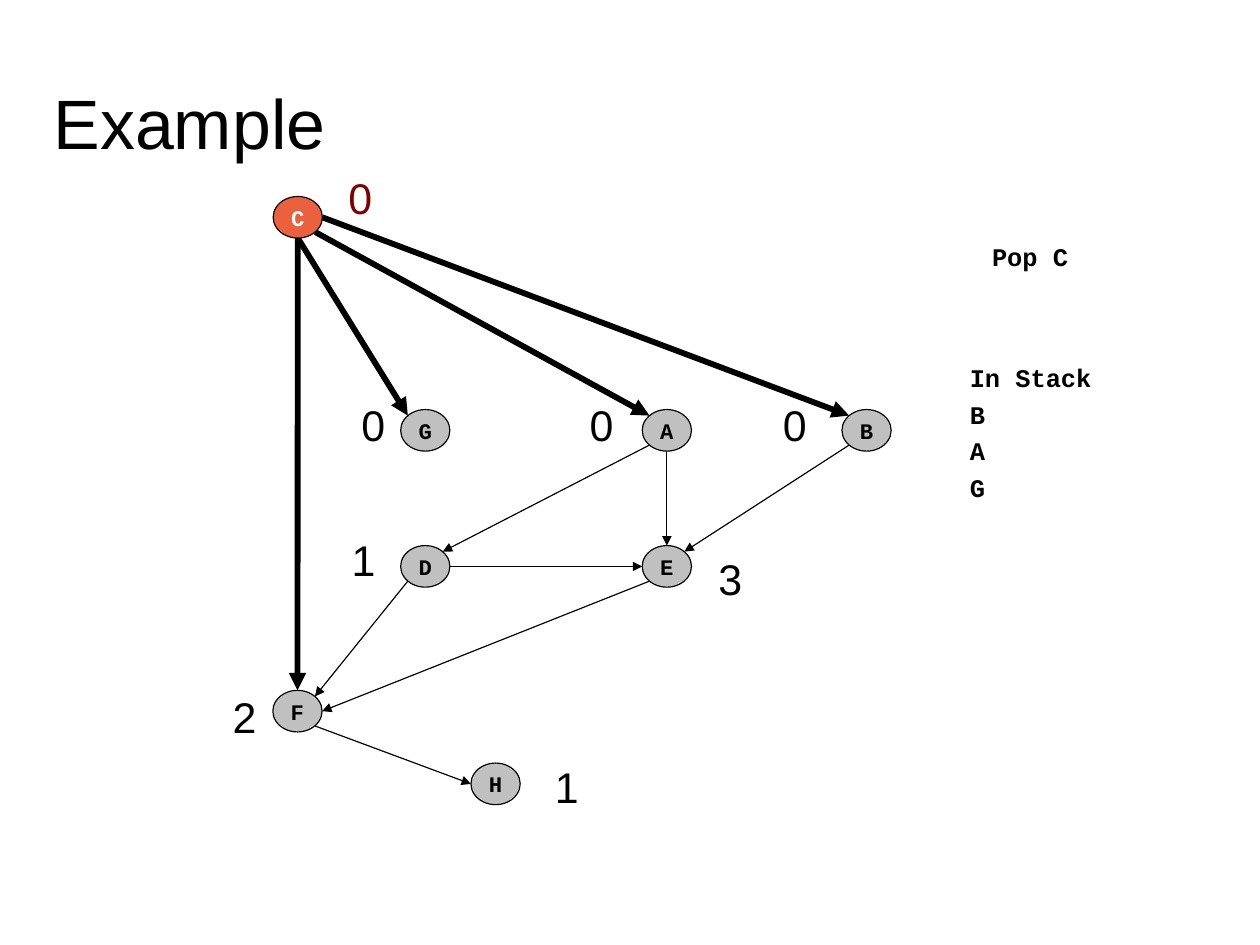
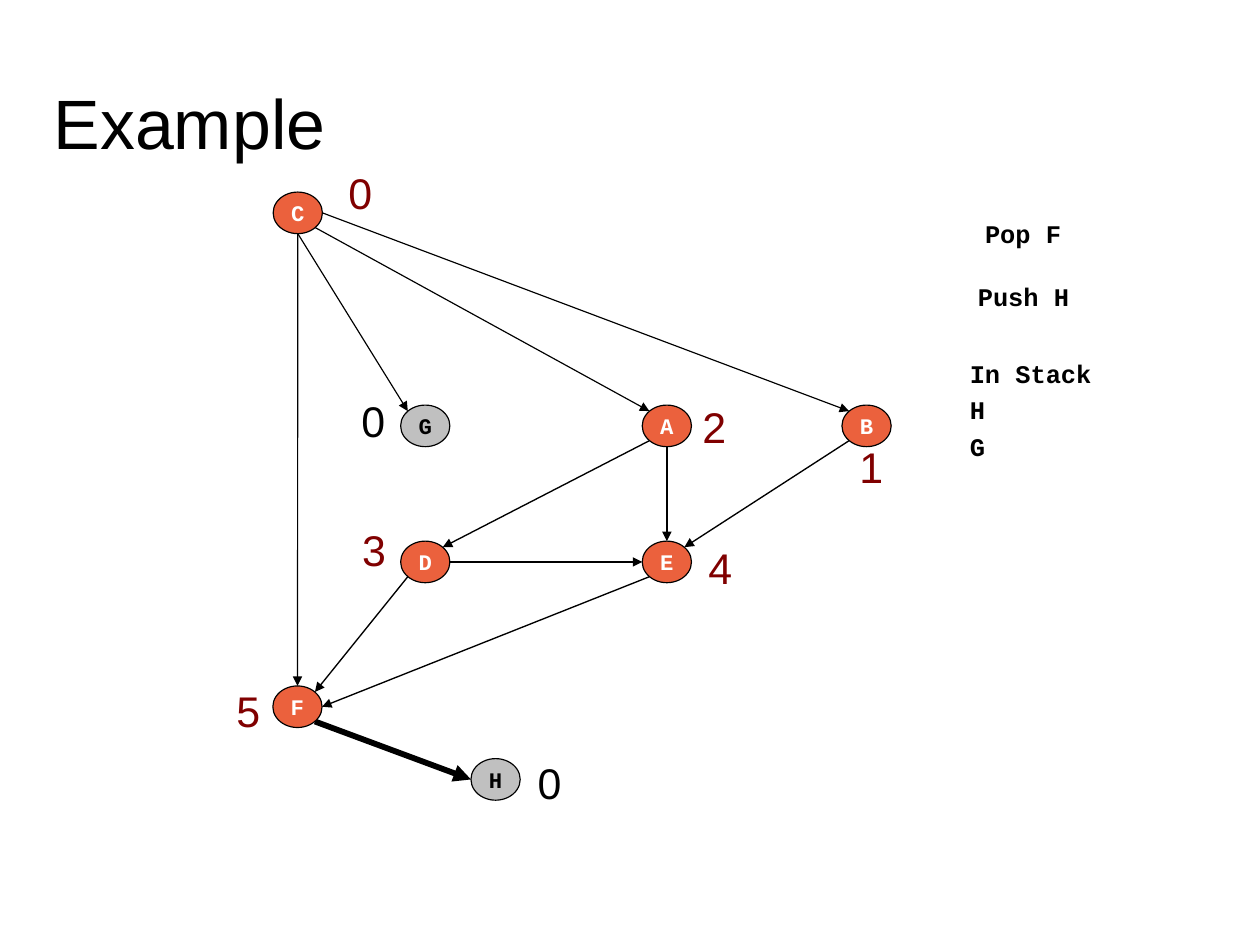
from lxml import etree
from pptx import Presentation
from pptx import util as u
from pptx.dml.color import RGBColor
from pptx.enum import shapes, text
from pptx.oxml.ns import qn

Pt = u.Pt
COLORS = {"ink": "000000", "white": "FFFFFF", "visited": "EB613D",
          "waiting": "C0C0C0", "count": "800000"}
SANS, MONO = "Arial", "Courier New"

# Graph shared by both slides: node corners, edges with their compass points
NODE_W, NODE_H = 31, 26.2
NODES = {"C": (172.1, 123.8), "G": (252.4, 258), "A": (404.6, 258),
         "B": (530.4, 258), "D": (252.4, 343.7), "E": (404.6, 343.7),
         "F": (171.9, 434.9), "H": (296.7, 480.7)}
EDGES = [("C", "s", "F", "n"), ("C", "s", "G", "nw"), ("C", "se", "A", "nw"),
         ("C", "e", "B", "nw"), ("A", "sw", "D", "ne"), ("A", "s", "E", "n"),
         ("B", "sw", "E", "ne"), ("D", "e", "E", "w"), ("D", "sw", "F", "ne"),
         ("E", "sw", "F", "e"), ("F", "se", "H", "w")]
DIAG = 0.71
SITES = {"n": (0, -1), "s": (0, 1), "e": (1, 0), "w": (-1, 0),
         "nw": (-DIAG, -DIAG), "ne": (DIAG, -DIAG),
         "sw": (-DIAG, DIAG), "se": (DIAG, DIAG)}

# Steps of the search: labels are (value, left, top), notes are (lines, left, top)
STEPS = [
    {"shift": 0, "popped": "C", "visited": "C",
     "labels": {"C": ("0", 212.4, 104.4), "G": ("0", 220.5, 247.4),
                "A": ("0", 364.3, 247.4), "B": ("0", 486, 247.4),
                "E": ("3", 445.4, 344.6), "D": ("1", 214.4, 332.6),
                "H": ("1", 342.5, 475.9), "F": ("2", 139.4, 431.8)},
     "notes": [(["Pop C"], 617.8, 144.7),
               (["In Stack", "B", "A", "G"], 603.8, 221)]},
    {"shift": -2.8, "popped": "F", "visited": "CABDEF",
     "labels": {"C": ("0", 212.4, 101.5), "G": ("0", 220.5, 244.8),
                "A": ("2", 435.4, 248.8), "B": ("1", 534.2, 274.3),
                "E": ("4", 439.2, 337.4), "D": ("3", 221, 326.2),
                "H": ("0", 331.6, 473.2), "F": ("5", 141.8, 427.7)},
     "notes": [(["Pop F"], 613.4, 130.3), (["Push H"], 608.9, 169.9),
               (["In Stack", "H", "G"], 603.8, 218.2)]},
]


def add_run(p, words, size, font, color, bold=False):
    r = p.add_run()
    r.text = words
    r.font.size, r.font.name, r.font.bold = Pt(size), font, bold
    r.font.color.rgb = RGBColor.from_string(COLORS[color])


def add_box(s, x, y, w, h, wrap=True):
    tf = s.shapes.add_textbox(Pt(x), Pt(y), Pt(w), Pt(h)).text_frame
    tf.word_wrap = wrap
    return tf


prs = Presentation()
prs.slide_width, prs.slide_height = Pt(793.7), Pt(595.28)

for step in STEPS:
    s = prs.slides.add_slide(prs.slide_layouts[6])

    # Title
    tf = add_box(s, 33.84, 51.12, 555.84, 51.12)
    tf.margin_left = tf.margin_right = tf.margin_top = tf.margin_bottom = 0
    tf.vertical_anchor = text.MSO_ANCHOR.MIDDLE
    add_run(tf.paragraphs[0], "Example", 44, SANS, "ink")

    # Edges: heavy when they leave the popped node
    for start, start_site, end, end_site in EDGES:
        ends = []
        for node, site in ((start, start_site), (end, end_site)):
            x, y = NODES[node]
            dx, dy = SITES[site]
            ends += [Pt(x + NODE_W / 2 * (1 + dx)),
                     Pt(y + step["shift"] + NODE_H / 2 * (1 + dy))]
        cn = s.shapes.add_connector(shapes.MSO_CONNECTOR.STRAIGHT, *ends)
        cn.line.color.rgb = RGBColor.from_string(COLORS["ink"])
        if start == step["popped"]:
            cn.line.width = Pt(3.69)
        else:
            cn.line.width = Pt(0.85 if start in step["visited"] and start != "C" else 0.75)
        spPr = cn._element.spPr
        etree.SubElement(spPr.find(qn("a:ln")), qn("a:tailEnd"), type="triangle")
        etree.SubElement(spPr, qn("a:effectLst"))

    # Nodes and their counts
    for node, (x, y) in NODES.items():
        visited = node in step["visited"]
        sp = s.shapes.add_shape(shapes.MSO_SHAPE.OVAL, Pt(x), Pt(y + step["shift"]),
                                Pt(NODE_W), Pt(NODE_H))
        sp.shadow.inherit = False
        sp.fill.solid()
        sp.fill.fore_color.rgb = RGBColor.from_string(
            COLORS["visited" if visited else "waiting"])
        sp.line.color.rgb = RGBColor.from_string(COLORS["ink"])
        sp.line.width = Pt(0.75)
        tf = sp.text_frame
        tf.word_wrap = False
        tf.vertical_anchor = text.MSO_ANCHOR.MIDDLE
        p = tf.paragraphs[0]
        p.alignment = text.PP_ALIGN.CENTER
        add_run(p, node, 14, MONO, "white" if visited else "ink", True)

        value, left, top = step["labels"][node]
        tf = add_box(s, left, top, 32.4, 40.3)
        add_run(tf.paragraphs[0], value, 27, SANS, "count" if visited else "ink")

    # Stack notes, sized to their monospaced lines
    for lines, left, top in step["notes"]:
        tf = add_box(s, left, top, 9.6 * max(map(len, lines)) + 14.4,
                     23 * len(lines) + 7.2, wrap=False)
        for i, line in enumerate(lines):
            p = tf.add_paragraph() if i else tf.paragraphs[0]
            p.line_spacing = 1.2
            add_run(p, line, 16, MONO, "ink", True)

prs.save("out.pptx")
